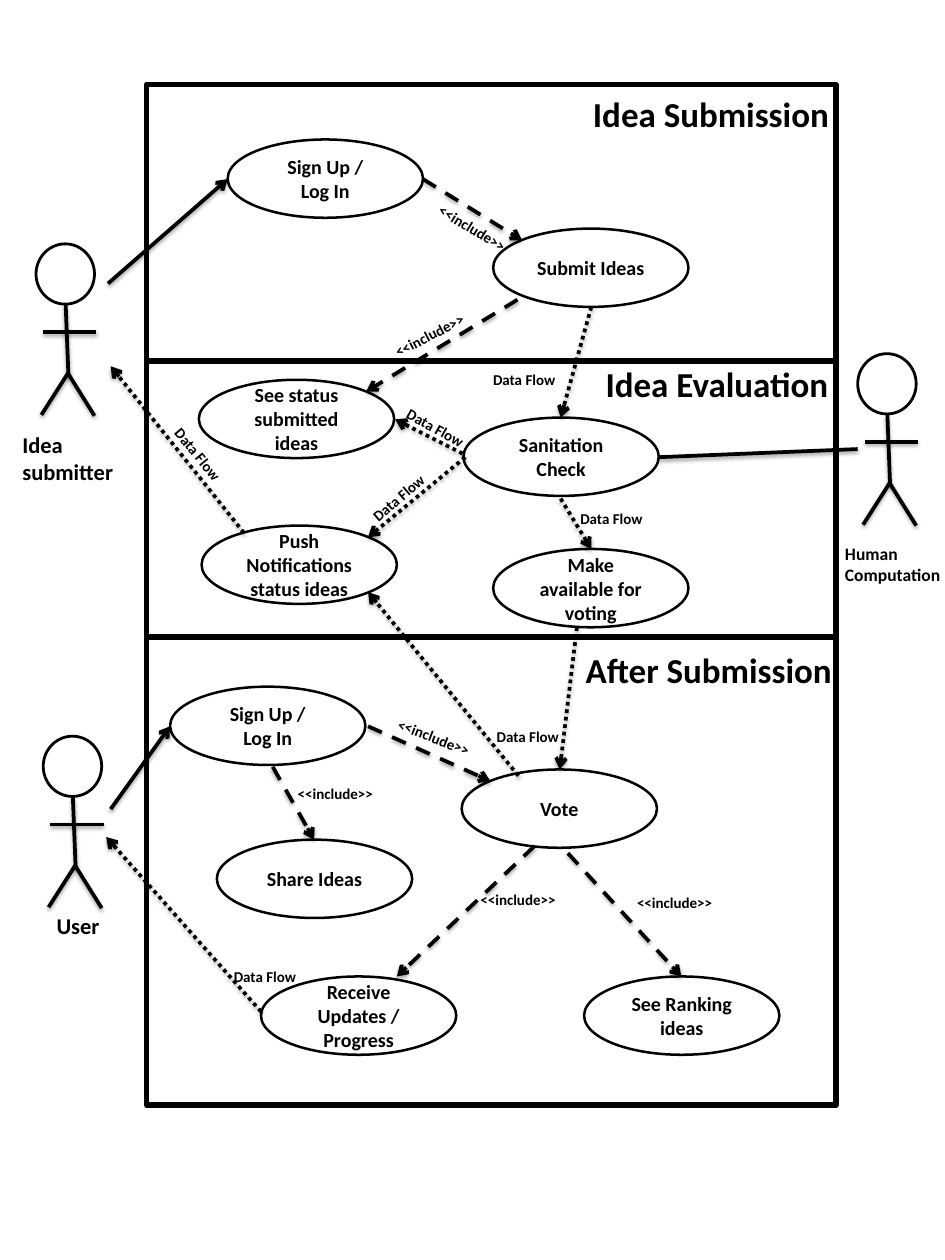
from lxml.etree import SubElement
from pptx import Presentation
from pptx.dml.color import RGBColor
from pptx.enum.dml import MSO_LINE
from pptx.enum.shapes import MSO_CONNECTOR, MSO_SHAPE
from pptx.enum.text import MSO_ANCHOR, MSO_AUTO_SIZE as AUTO_SIZE, PP_ALIGN
from pptx.oxml import parse_xml
from pptx.oxml.ns import qn
from pptx.util import Inches, Pt

COLORS = {"ink": "000000", "paper": "FFFFFF"}
INK = RGBColor.from_string(COLORS["ink"])
PAPER = RGBColor.from_string(COLORS["paper"])
SHADOW = (
    '<a:effectLst xmlns:a="http://schemas.openxmlformats.org/drawingml/2006/main">'
    '<a:outerShdw blurRad="40000" dist="23000" dir="5400000" rotWithShape="0">'
    f'<a:srgbClr val="{COLORS["ink"]}"><a:alpha val="35000"/></a:srgbClr>'
    '</a:outerShdw></a:effectLst>'
)
DASH, DOT = MSO_LINE.DASH, MSO_LINE.ROUND_DOT

deck = Presentation()
deck.slide_width, deck.slide_height = Inches(10.5), Inches(14)
slide = deck.slides.add_slide(deck.slide_layouts[6])


def add_outline(shapes, kind, place, weight, lines=()):
    """Add a white shape with a black outline and centred bold lines of text."""
    shape = shapes.add_shape(kind, *map(Inches, place))
    shape.shadow.inherit = False
    shape.fill.solid()
    shape.fill.fore_color.rgb = PAPER
    shape.line.color.rgb = INK
    shape.line.width = Pt(weight)
    frame = shape.text_frame
    frame.vertical_anchor = MSO_ANCHOR.MIDDLE
    frame.margin_left = frame.margin_right = Inches(0.14)
    frame.margin_top = frame.margin_bottom = Inches(0.07)
    for index, line in enumerate(lines):
        para = frame.add_paragraph() if index else frame.paragraphs[0]
        para.alignment = PP_ALIGN.CENTER
        span = para.add_run()
        span.text = line
        span.font.name, span.font.size, span.font.bold = "Calibri", Pt(16), True
        span.font.color.rgb = INK


def add_line(shapes, ends, dash=None, arrow=True):
    """Add a shadowed black line, with an arrowhead at its far end if wanted."""
    line = shapes.add_connector(MSO_CONNECTOR.STRAIGHT, *map(Inches, ends))
    line.line.color.rgb = INK
    line.line.width = Pt(3)
    if dash:
        line.line.dash_style = dash
    properties = line._element.spPr
    if arrow:
        SubElement(properties.find(qn("a:ln")), qn("a:tailEnd"), type="arrow")
    properties.append(parse_xml(SHADOW))


# Stages of the process
for top, height in [(7.08, 5.2), (0.94, 3.08), (4.01, 3.07)]:
    add_outline(slide.shapes, MSO_SHAPE.RECTANGLE, (1.63, top, 7.66, height), 4.5)

# Use cases
use_cases = [
    (2.53, 1.55, ["Sign Up /", "Log In"]),
    (5.48, 2.54, ["Submit Ideas"]),
    (2.21, 4.22, ["See status submitted ideas"]),
    (5.15, 4.64, ["Sanitation Check"]),
    (2.24, 5.84, ["Push Notifications status ideas"]),
    (5.48, 6.1, ["Make available for voting"]),
    (1.89, 7.63, ["Sign Up /", "Log In"]),
    (5.13, 8.55, ["Vote"]),
    (2.41, 9.33, ["Share Ideas"]),
    (2.9, 10.85, ["Receive Updates / Progress"]),
    (6.49, 10.85, ["See Ranking ideas"]),
]
for left, top, lines in use_cases:
    add_outline(slide.shapes, MSO_SHAPE.OVAL, (left, top, 2.17, 0.87), 2, lines)

# Actors: head, then spine, arms and legs measured from the head's corner
limbs = [
    (0.33, 0.68, 0.36, 1.45),
    (0.67, 0.98, 0.08, 0.98),
    (0.36, 1.43, 0.06, 1.9),
    (0.65, 1.91, 0.35, 1.43),
]
for left, top in [(0.4, 2.71), (9.53, 3.93), (0.48, 8.18)]:
    actor = slide.shapes.add_group_shape()
    add_outline(actor.shapes, MSO_SHAPE.OVAL, (left, top, 0.65, 0.67), 2.25)
    for x1, y1, x2, y2 in limbs:
        ends = (left + x1, top + y1, left + x2, top + y2)
        add_line(actor.shapes, ends, arrow=False)

# Relations
add_line(slide.shapes, (7.32, 5.08, 9.53, 4.99), arrow=False)
relations = {
    None: [(1.2, 3.15, 2.53, 1.99), (1.23, 8.99, 1.89, 8.07)],
    DASH: [
        (4.7, 1.99, 5.8, 2.67),
        (5.75, 3.33, 4.07, 4.35),
        (4.09, 8.07, 5.45, 8.68),
        (3.03, 8.52, 3.49, 9.33),
        (6.31, 9.48, 7.57, 10.85),
        (5.94, 9.4, 4.41, 10.85),
    ],
    DOT: [
        (6.57, 3.41, 6.23, 4.64),
        (5.14, 5.04, 4.39, 4.66),
        (5.17, 5.08, 4.09, 5.97),
        (2.71, 5.92, 1.23, 4.07),
        (6.23, 5.54, 6.57, 6.1),
        (6.41, 6.97, 6.22, 8.55),
        (5.76, 8.62, 4.09, 6.58),
        (2.9, 11.24, 1.18, 9.3),
    ],
}
for dash, routes in relations.items():
    for ends in routes:
        add_line(slide.shapes, ends, dash)

# Text kinds: width, height, size, then (text, left, top, rotation)
texts = [
    (2.95, 0.57, 28, [
        ("Idea Submission", 6.49, 0.98, 0),
        ("Idea Evaluation", 6.63, 3.98, 0),
        ("After Submission", 6.41, 7.16, 0),
    ]),
    (1.31, 0.71, 18, [("Idea submitter", 0.15, 4.74, 0)]),
    (1.31, 0.4, 18, [("User", 0.53, 10.08, 0)]),
    (1.21, 0.57, 14, [("Human Computation", 9.29, 5.98, 0)]),
    (1.57, 0.5, 12, [
        ("<<include>>", 4.64, 2.51, 31.7),
        ("<<include>>", 4.27, 3.44, 332.8),
        ("<<include>>", 4.25, 8.13, 21),
        ("<<include>>", 3.21, 8.67, 0),
        ("<<include>>", 6.98, 9.88, 0),
        ("<<include>>", 5.24, 9.85, 0),
    ]),
    (1.57, 0.3, 12, [
        ("Data Flow", 5.38, 4.07, 0),
        ("Data Flow", 4.35, 4.77, 29.5),
        ("Data Flow", 1.63, 5.16, 50.7),
        ("Data Flow", 3.9, 5.16, 319.4),
        ("Data Flow", 6.35, 5.61, 0),
        ("Data Flow", 5.42, 8.03, 0),
        ("Data Flow", 2.5, 10.7, 0),
    ]),
]
for width, height, size, labels in texts:
    for text, left, top, rotation in labels:
        box = slide.shapes.add_textbox(*map(Inches, (left, top, width, height)))
        box.rotation = rotation
        frame = box.text_frame
        frame.word_wrap = True
        frame.auto_size = AUTO_SIZE.NONE if rotation else AUTO_SIZE.SHAPE_TO_FIT_TEXT
        frame.margin_right = 0
        span = frame.paragraphs[0].add_run()
        span.text = text
        span.font.name, span.font.size, span.font.bold = "Calibri", Pt(size), True
        span.font.color.rgb = INK

deck.save("out.pptx")
